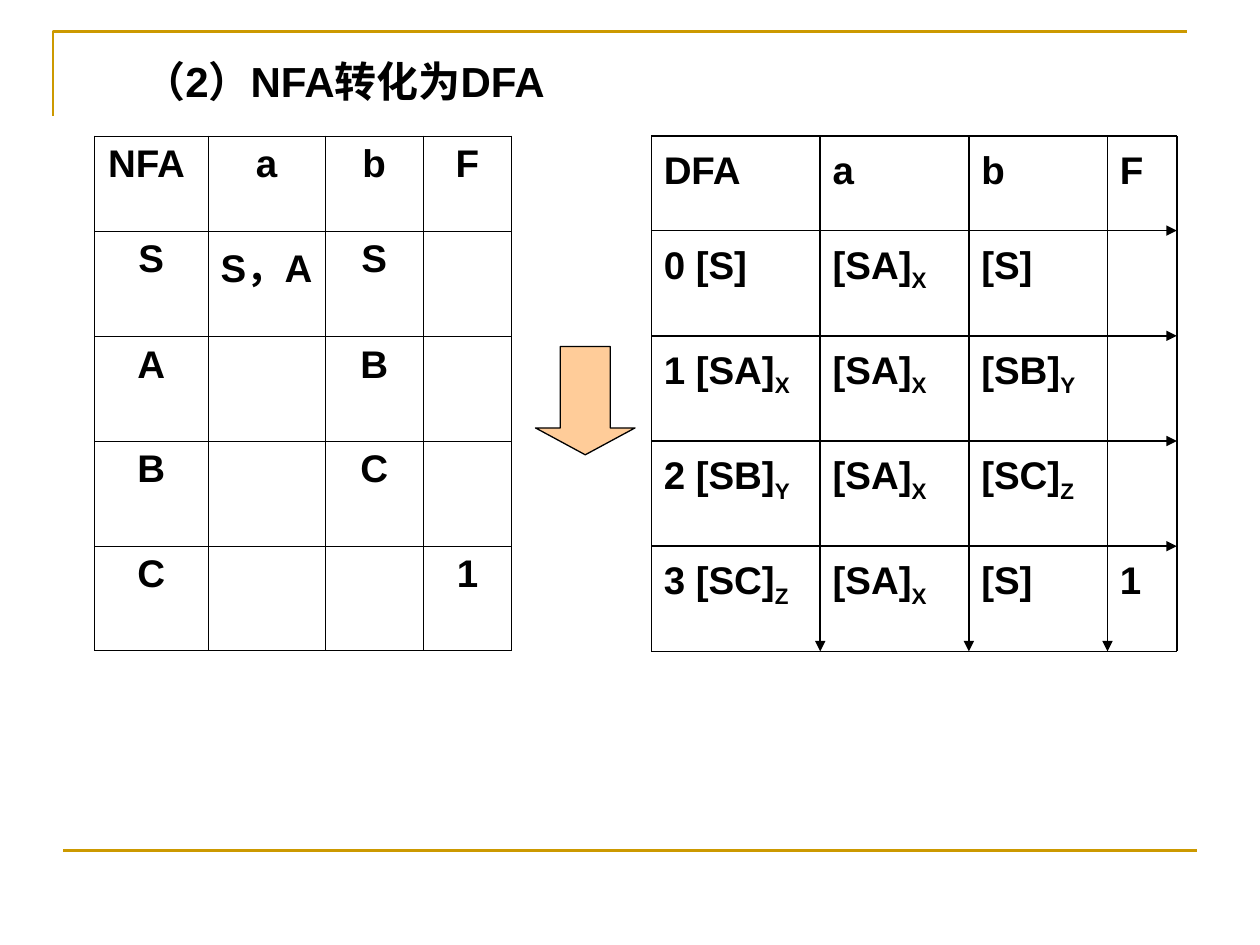
from itertools import accumulate

from lxml import etree
from pptx import Presentation
from pptx.dml.color import RGBColor
from pptx.enum.shapes import MSO_CONNECTOR, MSO_SHAPE
from pptx.enum.text import PP_ALIGN
from pptx.oxml.ns import qn
from pptx.util import Inches, Pt

STRAIGHT = MSO_CONNECTOR.STRAIGHT
DOWN_ARROW = MSO_SHAPE.DOWN_ARROW
CENTER = PP_ALIGN.CENTER
LEFT = PP_ALIGN.LEFT

COLORS = {"text": "000000", "rule": "CC9900", "arrow": "FFCC99"}
FONT = "Arial"
TOP = 1.08
NFA_LEFT = 0.75
NFA_WIDTHS = [0.9, 0.93, 0.78, 0.7]
DFA_LEFT = 5.17
DFA_WIDTHS = [1.34, 1.18, 1.1, 0.55]
NFA_HEIGHTS = [0.76] + [0.83] * 4
DFA_HEIGHTS = [0.75] + [0.835] * 4

NFA_ROWS = [
    ["NFA ", "a", "b", "F"],
    ["S", "S，A", "S", ""],
    ["A", "", "B", ""],
    ["B", "", "C", ""],
    ["C", "", "", "1"],
]
DFA_ROWS = [
    ["DFA", "a", "b", "F"],
    ["0 [S]", "[SA]_X", "[S]", ""],
    ["1 [SA]_X", "[SA]_X", "[SB]_Y", ""],
    ["2 [SB]_Y", "[SA]_X", "[SC]_Z", ""],
    ["3 [SC]_Z", "[SA]_X", "[S]", "1"],
]


def rgb(name):
    """Return the named colour."""
    return RGBColor.from_string(COLORS[name])


def write_text(frame, text, size, align):
    """Write one bold paragraph, with the part after an underscore as subscript."""
    base, _, subscript = text.partition("_")
    para = frame.paragraphs[0]
    para.text = base
    para.alignment = align
    if subscript:
        span = para.add_run()
        span.text = subscript
        span.font._element.set("baseline", "-25000")
    for span in para.runs:
        span.font.name = FONT
        span.font.size = Pt(size)
        span.font.bold = True
        span.font.color.rgb = rgb("text")


def add_text(page, left, top, width, height, text, size, align=LEFT, inset=0.05):
    """Add a wrapped text box."""
    box = page.shapes.add_textbox(Inches(left), Inches(top), Inches(width), Inches(height))
    box.text_frame.word_wrap = True
    box.text_frame.margin_top = Inches(inset)
    write_text(box.text_frame, text, size, align)


def add_line(page, start, end, color="text", weight=1, arrow=False):
    """Add a straight line, optionally with an arrowhead at its end."""
    line = page.shapes.add_connector(STRAIGHT, *map(Inches, start + end))
    line.line.color.rgb = rgb(color)
    line.line.width = Pt(weight)
    if arrow:
        etree.SubElement(line.line._get_or_add_ln(), qn("a:tailEnd"), type="triangle")
    etree.SubElement(line._element.spPr, qn("a:effectLst"))


def add_frame(page):
    """Draw the golden corner and the bottom rule."""
    builder = page.shapes.build_freeform(Inches(0.42), Inches(0.92))
    corners = [(Inches(0.42), Inches(0.25)), (Inches(9.42), Inches(0.25))]
    builder.add_line_segments(corners, close=False)
    corner = builder.convert_to_shape()
    corner.shadow.inherit = False
    corner.fill.background()
    corner.line.color.rgb = rgb("rule")
    corner.line.width = Pt(1.5)
    add_line(page, (0.5, 6.75), (9.5, 6.75), "rule", 1.5)


def set_borders(cell):
    """Give a cell a thin line on all four sides."""
    properties = cell._tc.get_or_add_tcPr()
    for index, side in enumerate(("a:lnL", "a:lnR", "a:lnT", "a:lnB")):
        border = etree.Element(qn(side), w=str(Pt(0.45)))
        fill = etree.SubElement(border, qn("a:solidFill"))
        etree.SubElement(fill, qn("a:srgbClr"), val=COLORS["text"])
        properties.insert(index, border)


def add_nfa_table(page):
    """Add the transition table of the NFA."""
    size = sum(NFA_WIDTHS), sum(NFA_HEIGHTS)
    table = page.shapes.add_table(
        len(NFA_ROWS), len(NFA_WIDTHS), *map(Inches, (NFA_LEFT, TOP) + size)
    ).table
    table.first_row = False
    table.horz_banding = False
    for column, width in zip(table.columns, NFA_WIDTHS):
        column.width = Inches(width)
    for row, height, texts in zip(table.rows, NFA_HEIGHTS, NFA_ROWS):
        row.height = Inches(height)
        for cell, text in zip(row.cells, texts):
            cell.fill.background()
            set_borders(cell)
            if text:
                write_text(cell.text_frame, text, 22, CENTER)


def add_dfa_grid(page):
    """Draw the DFA transition grid, whose inner lines end in arrowheads."""
    xs = list(accumulate(DFA_WIDTHS, initial=DFA_LEFT))
    ys = list(accumulate(DFA_HEIGHTS, initial=TOP))
    for y, height, texts in zip(ys, DFA_HEIGHTS, DFA_ROWS):
        for x, width, text in zip(xs, DFA_WIDTHS, texts):
            if text:
                add_text(page, x, y, width, height, text, 22, inset=0.08)
    for x in xs:
        add_line(page, (x, ys[0]), (x, ys[-1]), arrow=x in xs[1:-1])
    for y in ys:
        add_line(page, (xs[0], y), (xs[-1], y), arrow=y in ys[1:-1])


def add_conversion_arrow(page):
    """Add the block arrow between the two tables."""
    arrow = page.shapes.add_shape(DOWN_ARROW, *map(Inches, (4.25, 2.75, 0.79, 0.86)))
    arrow.adjustments[0] = 0.5
    arrow.adjustments[1] = 0.27
    arrow.shadow.inherit = False
    arrow.fill.solid()
    arrow.fill.fore_color.rgb = rgb("arrow")
    arrow.line.color.rgb = rgb("text")
    arrow.line.width = Pt(0.75)


def main():
    """Build the slide and save the deck."""
    deck = Presentation()
    deck.slide_width = Inches(10)
    deck.slide_height = Inches(7.5)
    page = deck.slides.add_slide(deck.slide_layouts[6])
    add_frame(page)
    add_dfa_grid(page)
    add_conversion_arrow(page)
    add_nfa_table(page)
    add_text(page, 0.7, 0.39, 4.06, 0.5, "（2）NFA转化为DFA", 24, CENTER)
    deck.save("out.pptx")


if __name__ == "__main__":
    main()
